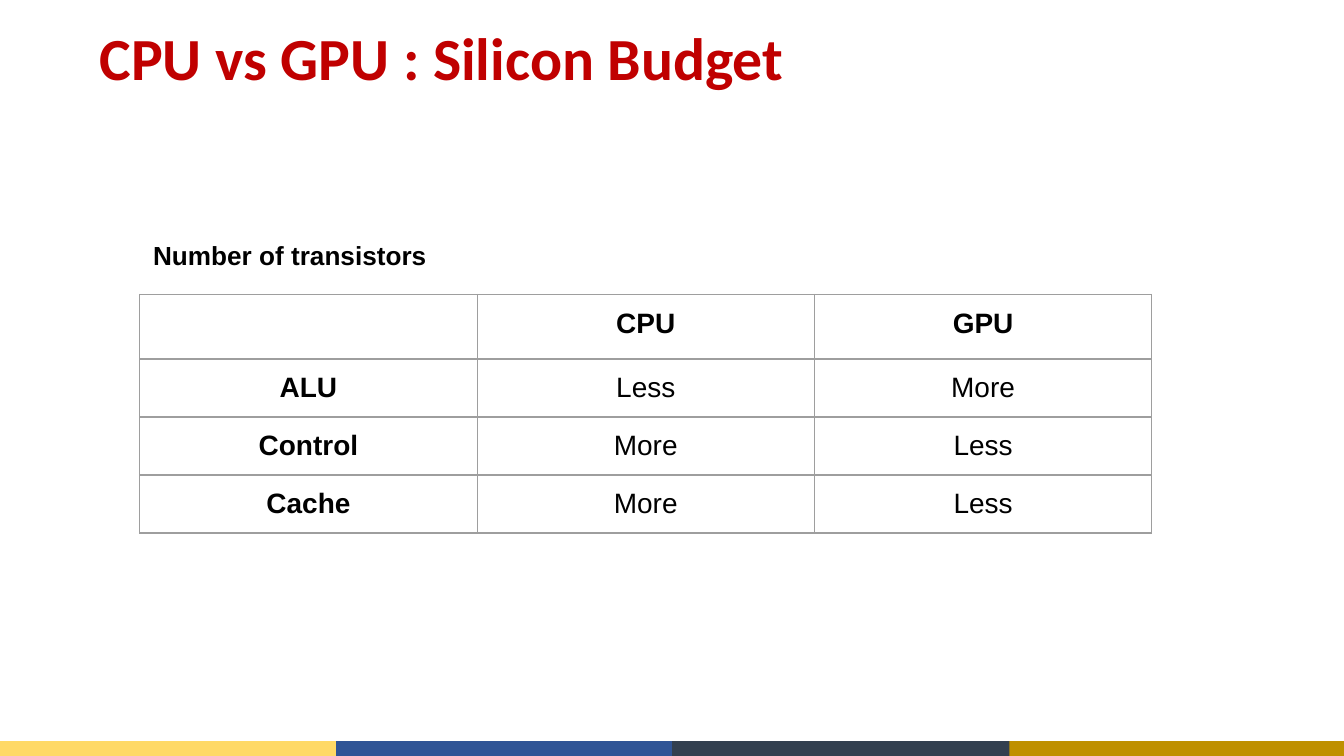
"""Build the CPU vs GPU silicon budget slide."""
from dataclasses import dataclass
from typing import Any

from lxml import etree
from pptx import Presentation, util as u
from pptx.dml import color as c
from pptx.enum import shapes, text
from pptx.oxml import ns

WIDTH = 10
HEIGHT = WIDTH * 9 / 16
BAR_HEIGHT = 0.11
COL_WIDTH = 2.51
ROW_HEIGHT = 0.42
BORDER = "9E9E9E"
ROWS = (
    ("", "CPU", "GPU"),
    ("ALU", "Less", "More"),
    ("Control", "More", "Less"),
    ("Cache", "More", "Less"),
)


@dataclass(frozen=True)
class Bar:
    """One coloured segment of the footer strip."""
    slot: int
    color: str


BARS = (Bar(0, "FFD966"), Bar(3, "BF9000"), Bar(1, "2F5496"), Bar(2, "323F4F"))


def rgb(value: str) -> c.RGBColor:
    """Turn a hex string into a colour."""
    return c.RGBColor.from_string(value)


def set_attrs(obj: Any, **values: Any) -> None:
    """Set every given attribute on an object."""
    for name, value in values.items():
        setattr(obj, name, value)


def write(p: Any, words: str, size: float, font: str = "Arial",
          color: str = "000000", bold: bool = True) -> None:
    """Add one formatted run to a paragraph."""
    r = p.add_run()
    r.text = words
    set_attrs(r.font, name=font, size=u.Pt(size), bold=bold)
    r.font.color.rgb = rgb(color)


def set_margins(obj: Any, x: float, y: float) -> None:
    """Set the inner margins of a text frame or cell."""
    set_attrs(obj, margin_left=u.Inches(x), margin_right=u.Inches(x),
              margin_top=u.Inches(y), margin_bottom=u.Inches(y))


def draw_bar(s: Any, bar: Bar) -> None:
    """Draw a footer segment that slightly overlaps its right neighbour."""
    step = WIDTH / len(BARS)
    left = bar.slot * step
    sp = s.shapes.add_shape(
        shapes.MSO_SHAPE.RECTANGLE, u.Inches(left), u.Inches(HEIGHT - BAR_HEIGHT),
        u.Inches(min(step + 0.01, WIDTH - left)), u.Inches(BAR_HEIGHT))
    sp.shadow.inherit = False
    sp.fill.solid()
    sp.fill.fore_color.rgb = rgb(bar.color)
    sp.line.fill.background()


def draw_title(s: Any) -> None:
    """Place and fill the title placeholder."""
    sp = s.shapes.title
    set_attrs(sp, left=u.Inches(0.69), top=u.Inches(0.07),
              width=u.Inches(8.62), height=u.Inches(0.77))
    tf = sp.text_frame
    set_attrs(tf, word_wrap=True, auto_size=text.MSO_AUTO_SIZE.NONE,
              vertical_anchor=text.MSO_ANCHOR.MIDDLE)
    set_margins(tf, 0.05, 0.02)
    p = tf.paragraphs[0]
    set_attrs(p, alignment=text.PP_ALIGN.LEFT, line_spacing=0.9)
    write(p, "CPU vs GPU : Silicon Budget", 32, "Calibri", "C00000")


def draw_caption(s: Any) -> None:
    """Write the heading above the table."""
    sp = s.shapes.add_textbox(u.Inches(1.04), u.Inches(1.68),
                              u.Inches(8.59), u.Inches(0.44))
    tf = sp.text_frame
    tf.word_wrap = True
    set_margins(tf, 0.1, 0.1)
    write(tf.paragraphs[0], "Number of transistors", 14)


def add_borders(cell: Any) -> None:
    """Give a cell thin solid borders on all sides."""
    props = cell._tc.get_or_add_tcPr()
    for side in ("a:lnL", "a:lnR", "a:lnT", "a:lnB"):
        ln = etree.SubElement(props, ns.qn(side), w=str(u.Pt(0.75)))
        fill = etree.SubElement(ln, ns.qn("a:solidFill"))
        etree.SubElement(fill, ns.qn("a:srgbClr"), val=BORDER)


def size_blank(p: Any) -> None:
    """Set the line height of a paragraph without text."""
    props = etree.SubElement(p._p, ns.qn("a:endParaRPr"), sz="1800")
    etree.SubElement(props, ns.qn("a:latin"), typeface="Arial")


def draw_table(s: Any) -> None:
    """Draw the transistor comparison table."""
    table = s.shapes.add_table(
        len(ROWS), len(ROWS[0]), u.Inches(1.04), u.Inches(2.19),
        u.Inches(COL_WIDTH * len(ROWS[0])),
        u.Inches(ROW_HEIGHT * len(ROWS))).table
    set_attrs(table, first_row=False, horz_banding=False)
    for col in table.columns:
        col.width = u.Inches(COL_WIDTH)
    for i, row in enumerate(ROWS):
        table.rows[i].height = u.Inches(ROW_HEIGHT)
        for j, words in enumerate(row):
            cell = table.cell(i, j)
            set_margins(cell, 0.1, 0.1)
            add_borders(cell)
            cell.fill.background()
            p = cell.text_frame.paragraphs[0]
            if words:
                p.alignment = text.PP_ALIGN.CENTER
                write(p, words, 15, bold=i == 0 or j == 0)
            else:
                size_blank(p)


def main() -> None:
    """Assemble and save the slide."""
    prs = Presentation()
    set_attrs(prs, slide_width=u.Inches(WIDTH), slide_height=u.Inches(HEIGHT))
    s = prs.slides.add_slide(prs.slide_layouts[5])
    for bar in BARS:
        draw_bar(s, bar)
    draw_title(s)
    draw_table(s)
    draw_caption(s)
    prs.save("out.pptx")


if __name__ == "__main__":
    main()
